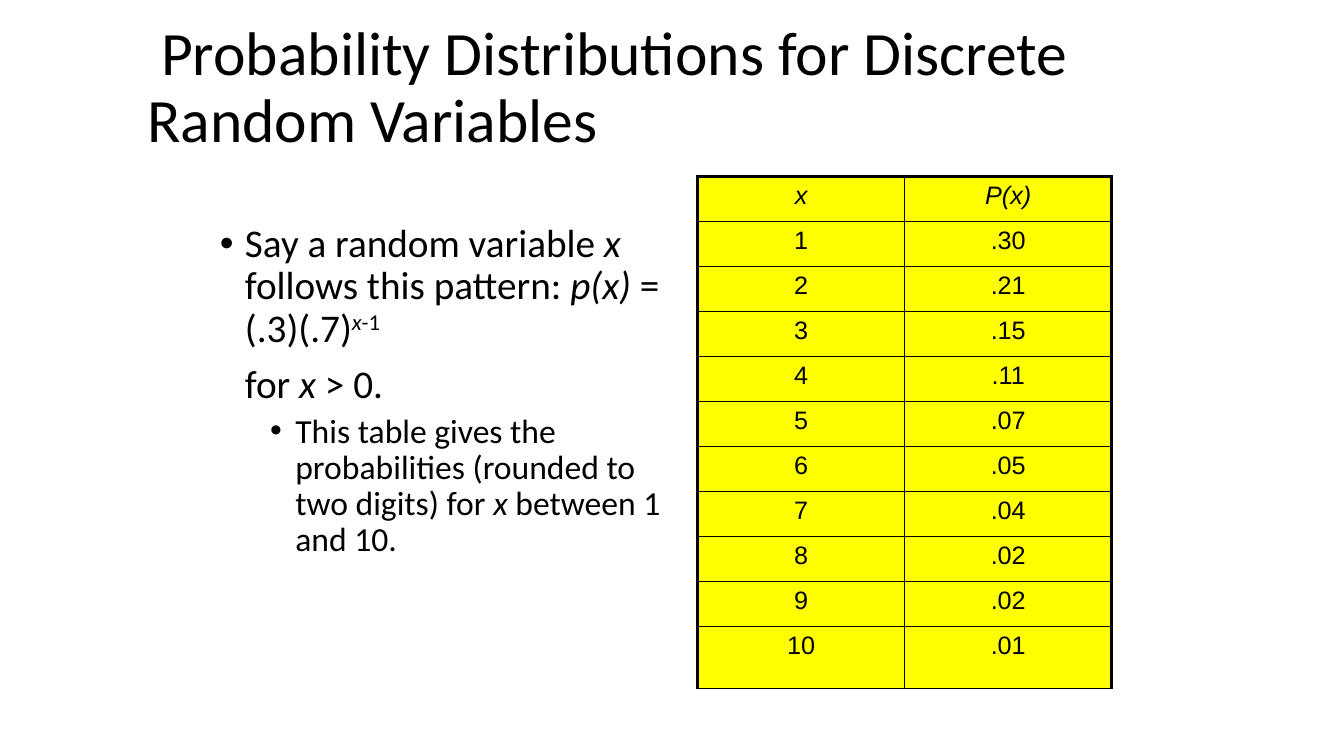
from collections import namedtuple
from dataclasses import dataclass

from lxml.etree import SubElement
from pptx import Presentation
from pptx.dml.color import RGBColor
from pptx.enum.text import MSO_ANCHOR, MSO_AUTO_SIZE, PP_ALIGN
from pptx.oxml.ns import qn
from pptx.util import Emu, Inches, Pt


@dataclass(frozen=True)
class Theme:
    ink: str = "000000"
    cell_fill: str = "FFFF00"
    text_font: str = "Calibri"
    table_font: str = "Arial"
    title_size: int = 44
    body_size: int = 28
    detail_size: int = 24
    table_size: int = 18
    outer_line: float = 2.25
    inner_line: float = 1


THEME = Theme()
Box = namedtuple("Box", "left top width height")

PROBABILITIES = [".30", ".21", ".15", ".11", ".07", ".05", ".04", ".02", ".02", ".01"]


def grid_box(presentation, left, top, width, height):
    """Turn columns and rows of a 100 by 100 grid into a box on the slide."""
    column, row = presentation.slide_width / 100, presentation.slide_height / 100
    return Box(*(Emu(round(length)) for length in
                 (left * column, top * row, width * column, height * row)))


def write(paragraph, text, size, font=THEME.text_font, italic=False, raised=False):
    run = paragraph.add_run()
    run.text = text
    run.font.name = font
    run.font.size = Pt(size)
    run.font.italic = italic
    run.font.color.rgb = RGBColor.from_string(THEME.ink)
    if raised:
        run._r.get_or_add_rPr().set("baseline", "30000")


def place(shape, box, anchor):
    shape.left, shape.top, shape.width, shape.height = box
    frame = shape.text_frame
    frame.word_wrap = True
    frame.auto_size = MSO_AUTO_SIZE.NONE
    frame.vertical_anchor = anchor
    return frame


def format_item(paragraph, level, margin, hanging, space, bullet):
    paragraph.level = level
    paragraph.line_spacing = 0.9
    paragraph.space_before = Pt(space)
    properties = paragraph._p.get_or_add_pPr()
    properties.set("marL", str(Inches(margin)))
    properties.set("indent", str(-Inches(hanging)))
    if bullet:
        SubElement(properties, qn("a:buFont")).set("typeface", "Arial")
        SubElement(properties, qn("a:buChar")).set("char", "•")
    else:
        SubElement(properties, qn("a:buNone"))


def add_title(slide, box):
    frame = place(slide.shapes.title, box, MSO_ANCHOR.MIDDLE)
    paragraph = frame.paragraphs[0]
    paragraph.alignment = PP_ALIGN.LEFT
    paragraph.line_spacing = 0.9
    write(paragraph, " Probability Distributions for Discrete Random Variables",
          THEME.title_size)


def add_explanation(slide, box):
    frame = place(slide.placeholders[1], box, MSO_ANCHOR.TOP)

    # Formula
    formula = frame.paragraphs[0]
    format_item(formula, level=0, margin=0.25, hanging=0.25, space=10, bullet=True)
    for text, italic in [("Say a random variable ", False), ("x", True),
                         (" follows this pattern: ", False), ("p(x)", True),
                         (" = (.3)(.7)", False)]:
        write(formula, text, THEME.body_size, italic=italic)
    write(formula, "x", THEME.body_size, italic=True, raised=True)
    write(formula, "-1", THEME.body_size, raised=True)

    # Range of x
    domain = frame.add_paragraph()
    format_item(domain, level=0, margin=0.25, hanging=0, space=10, bullet=False)
    for text, italic in [("for ", False), ("x", True), (" > 0.", False)]:
        write(domain, text, THEME.body_size, italic=italic)

    # Note on the table
    note = frame.add_paragraph()
    format_item(note, level=1, margin=0.75, hanging=0.25, space=5, bullet=True)
    for text, italic in [
            ("This table gives the probabilities (rounded to two digits) for ", False),
            ("x", True), (" between 1 and 10.", False)]:
        write(note, text, THEME.detail_size, italic=italic)


def add_border(cell, side, width):
    line = SubElement(cell._tc.get_or_add_tcPr(), qn(f"a:ln{side}"), w=str(Pt(width)))
    fill = SubElement(line, qn("a:solidFill"))
    SubElement(fill, qn("a:srgbClr")).set("val", THEME.ink)


def fill_cell(cell, text, italic, outer_sides):
    for side in "LRTB":
        add_border(cell, side,
                   THEME.outer_line if side in outer_sides else THEME.inner_line)
    cell.fill.solid()
    cell.fill.fore_color.rgb = RGBColor.from_string(THEME.cell_fill)
    paragraph = cell.text_frame.paragraphs[0]
    paragraph.alignment = PP_ALIGN.CENTER
    space = SubElement(paragraph._p.get_or_add_pPr(), qn("a:spcBef"))
    SubElement(space, qn("a:spcPct")).set("val", "20000")
    write(paragraph, text, THEME.table_size, font=THEME.table_font, italic=italic)


def add_probability_table(slide, box):
    rows = [("x", "P(x)")]
    rows += [(str(x), value) for x, value in enumerate(PROBABILITIES, start=1)]
    table = slide.shapes.add_table(len(rows), 2, *box).table
    table.first_row = table.horz_banding = False

    # The last row is taller than the equal rows above it
    last_height = round(box.height * 0.12)
    for row in table.rows:
        row.height = Emu((box.height - last_height) // (len(rows) - 1))
    table.rows[len(rows) - 1].height = Emu(last_height)

    for row_index, values in enumerate(rows):
        is_header = row_index == 0
        for column_index, text in enumerate(values):
            outer_sides = "LR"[column_index] + ("T" if is_header else "")
            fill_cell(table.cell(row_index, column_index), text, is_header, outer_sides)


def main():
    presentation = Presentation()
    presentation.slide_width = Inches(13.33)
    presentation.slide_height = Inches(7.5)
    slide = presentation.slides.add_slide(presentation.slide_layouts[1])

    add_title(slide, grid_box(presentation, 10.2, 1.47, 78.32, 20.67))
    add_explanation(slide, grid_box(presentation, 15.6, 28.93, 35.48, 60))
    add_probability_table(slide, grid_box(presentation, 51.9, 23.33, 30.83, 67.73))
    presentation.save("out.pptx")


if __name__ == "__main__":
    main()
